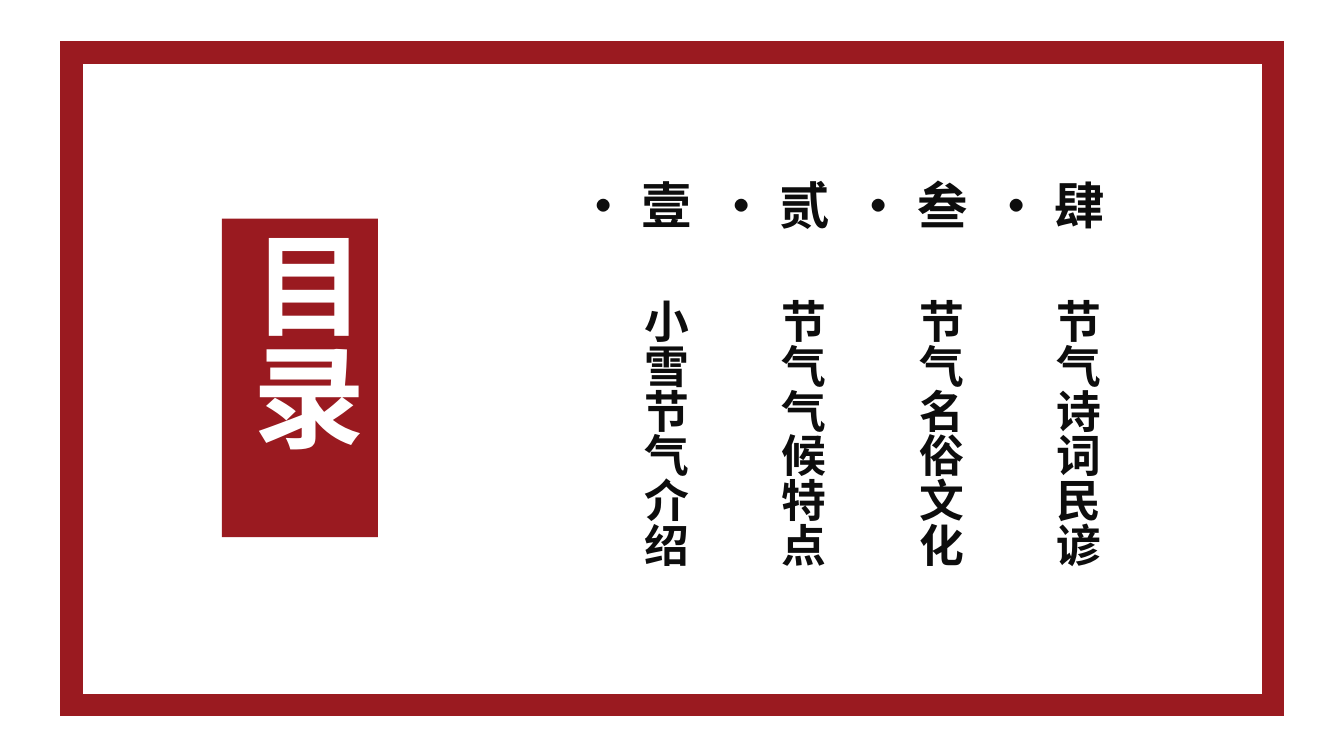
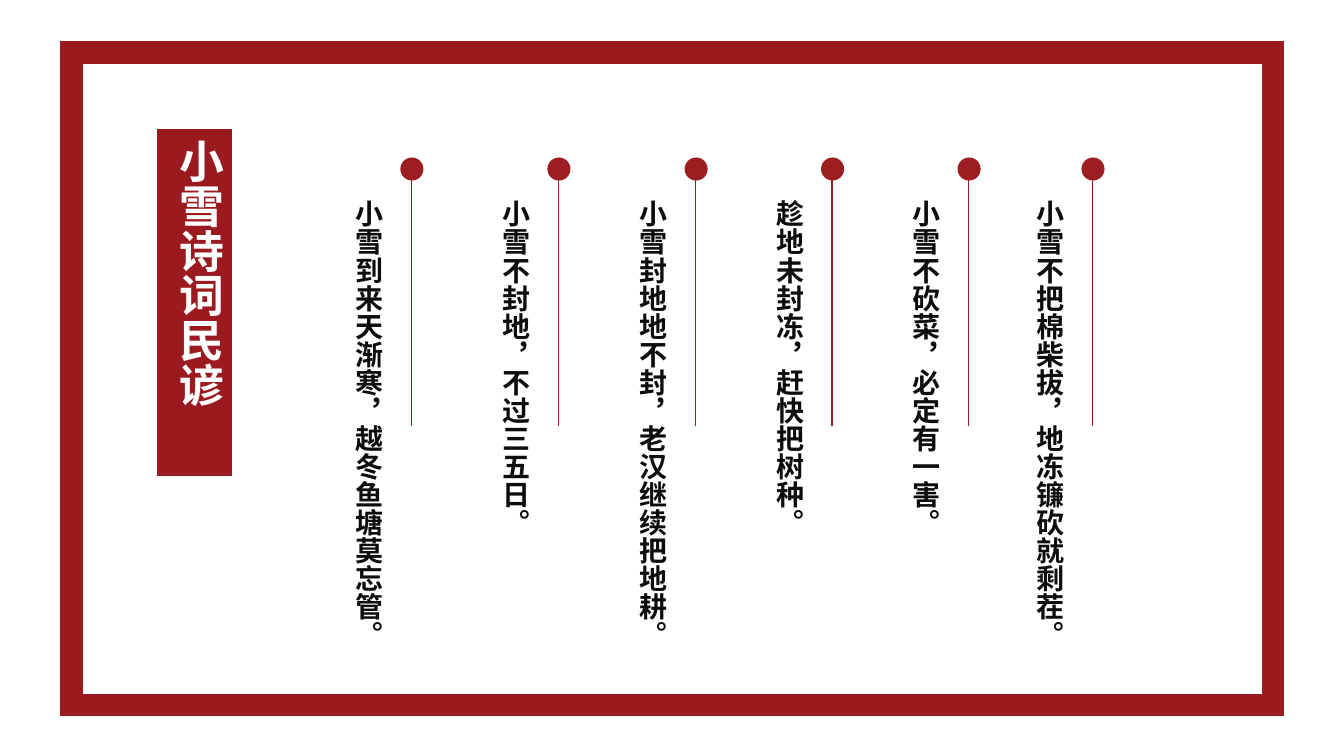
from lxml.etree import SubElement
from pptx import Presentation
from pptx.dml.color import RGBColor
from pptx.enum.shapes import MSO_CONNECTOR, MSO_SHAPE
from pptx.enum.text import MSO_ANCHOR, MSO_AUTO_SIZE, PP_ALIGN
from pptx.oxml.ns import qn
from pptx.util import Pt

FONT = "Noto Sans CJK SC"
RED = "9A1A20"
STEM = "9C1E22"
INK = "0D0D0D"
WHITE = "FFFFFF"

TOPICS = [
    ("壹·", "小雪节气介绍"),
    ("贰·", "节气气候特点"),
    ("叁·", "节气名俗文化"),
    ("肆·", "节气诗词民谚"),
]
VERSES = [
    (726.5, "小雪不把棉柴拔，地冻镰砍就剩茬。"),
    (638, "小雪不砍菜，必定有一害。"),
    (540.5, "趁地未封冻，赶快把树种。"),
    (443, "小雪封地地不封，老汉继续把地耕。"),
    (345, "小雪不封地，不过三五日。"),
    (240, "小雪到来天渐寒，越冬鱼塘莫忘管。"),
]


def color(code):
    return RGBColor.from_string(code)


def shape(host, kind, left, top, width, height, fill):
    item = host.shapes.add_shape(kind, Pt(left), Pt(top), Pt(width), Pt(height))
    item.shadow.inherit = False
    item.fill.solid()
    item.fill.fore_color.rgb = color(fill)
    item.line.fill.background()
    return item


def write(item, text, size, ink=INK, align=PP_ALIGN.LEFT):
    frame = item.text_frame
    frame.word_wrap = True
    frame.auto_size = MSO_AUTO_SIZE.SHAPE_TO_FIT_TEXT
    frame.vertical_anchor = MSO_ANCHOR.TOP
    frame._txBody.bodyPr.set("vert", "eaVert")
    para = frame.paragraphs[0]
    para.alignment = align
    run = para.add_run()
    run.text = text
    font = run.font
    font.name = FONT
    font.size = Pt(size)
    font.bold = True
    font.color.rgb = color(ink)
    SubElement(run._r.get_or_add_rPr(), qn("a:ea"), typeface=FONT)


def label(slide, left, top, width, height, text, **style):
    box = slide.shapes.add_textbox(Pt(left), Pt(top), Pt(width), Pt(height))
    write(box, text, **style)


def banner(slide, left, top, width, height, text, size):
    box = shape(slide, MSO_SHAPE.RECTANGLE, left, top, width, height, RED)
    write(box, text, size, ink=WHITE)


def page(deck):
    slide = deck.slides.add_slide(deck.slide_layouts[6])
    edge = shape(slide, MSO_SHAPE.RECTANGLE, 51, 37.5, 858.5, 466, WHITE)
    edge.line.color.rgb = color(RED)
    edge.line.width = Pt(16)
    SubElement(edge.line._get_or_add_ln(), qn("a:miter"), lim="800000")
    return slide


def pin(slide, left):
    group = slide.shapes.add_group_shape()
    shape(group, MSO_SHAPE.OVAL, left, 112.5, 16.5, 16.5, STEM)
    mid = Pt(left + 7.9)
    stem = group.shapes.add_connector(
        MSO_CONNECTOR.STRAIGHT, mid, Pt(126), mid, Pt(304.5))
    stem.line.color.rgb = color(STEM)
    stem.line.width = Pt(1)
    SubElement(stem._element.spPr, qn("a:effectLst"))


def agenda(deck):
    slide = page(deck)
    banner(slide, 158.5, 156.25, 111.5, 227.5, "目录", 80)
    for index, (mark, topic) in enumerate(TOPICS):
        left = 442 + 98.3 * index
        label(slide, left, 121.5, 58.3, 82, mark,
              size=36, align=PP_ALIGN.JUSTIFY)
        label(slide, left + 2.4, 206.5, 53.3, 213, topic,
              size=32, align=PP_ALIGN.JUSTIFY)


def poems(deck):
    slide = page(deck)
    banner(slide, 112.3, 92.2, 53.3, 247.7, "小雪诗词民谚", 32)
    for left, verse in VERSES:
        pin(slide, left + 46)
        label(slide, left, 136, 39, 317, verse, size=20)


def main():
    deck = Presentation()
    deck.slide_width = Pt(960)
    deck.slide_height = Pt(540)
    agenda(deck)
    poems(deck)
    deck.save("out.pptx")


if __name__ == "__main__":
    main()
